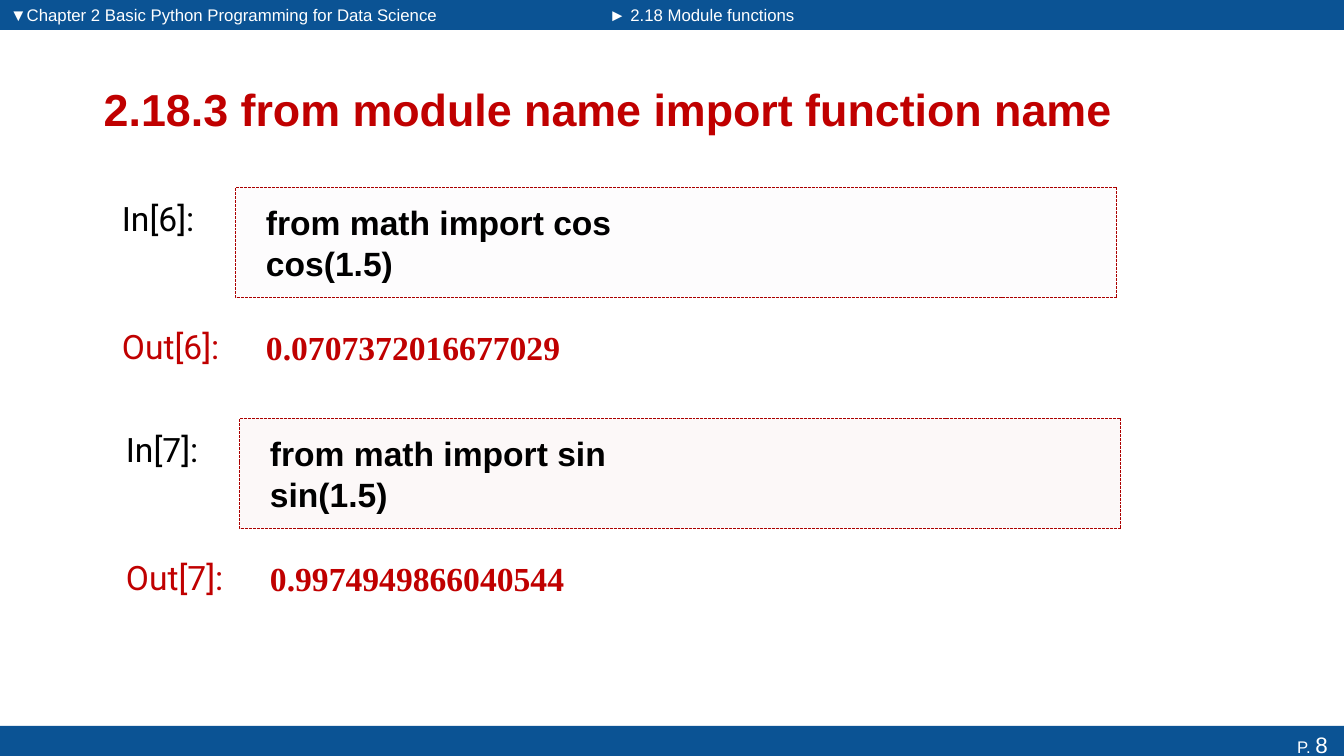
from dataclasses import dataclass

from lxml import etree
from pptx import Presentation
from pptx import util as u
from pptx.dml.color import RGBColor
from pptx.enum import dml, shapes, text
from pptx.oxml import ns

PX = 914400 / 100.8


def px(count):
    return u.Emu(round(count * PX))


@dataclass(frozen=True)
class Theme:
    bar: str = "0B5394"
    light: str = "FFFFFF"
    ink: str = "000000"
    accent: str = "C00000"
    border: str = "AB0000"
    small: int = 12
    number: int = 16
    normal: int = 24
    large: int = 32
    sans: str = "Arial"
    label: str = "Roboto"
    serif: str = "Times New Roman"


class SlideBuilder:
    def __init__(self, deck, theme):
        self.theme = theme
        self.page = deck.slides.add_slide(deck.slide_layouts[3])

    def style(self, font, size, color, name=None, bold=False):
        font.size = u.Pt(size)
        font.color.rgb = RGBColor.from_string(color)
        font.name = name or self.theme.sans
        font.bold = bold

    def set_text(self, box, lines, size, color, name=None, bold=False):
        frame = box.text_frame
        frame.word_wrap = True
        frame.auto_size = text.MSO_AUTO_SIZE.NONE
        frame.text = "\n".join(lines)
        for para in frame.paragraphs:
            self.style(para.font, size, color, name, bold)
        return frame

    def place(self, index, left, top, width, height):
        box = self.page.placeholders[index]
        box.left, box.top, box.width, box.height = map(px, (left, top, width, height))
        return box

    def title(self, words, *area):
        frame = self.set_text(self.place(0, *area), [words], self.theme.large,
                              self.theme.accent, bold=True)
        frame.vertical_anchor = text.MSO_ANCHOR.MIDDLE
        frame.paragraphs[0].alignment = text.PP_ALIGN.CENTER

    def crumb(self, index, words, *area):
        frame = self.set_text(self.place(index, *area), [words], self.theme.small,
                              self.theme.light)
        para = frame.paragraphs[0]
        props = para._p.get_or_add_pPr()
        props.set("marL", str(px(38)))
        props.set("indent", str(-px(38)))
        props.insert(0, etree.Element(ns.qn("a:buNone")))

    def bar(self, *area):
        box = self.page.shapes.add_shape(shapes.MSO_SHAPE.RECTANGLE, *map(px, area))
        box.shadow.inherit = False
        box.fill.solid()
        box.fill.fore_color.rgb = RGBColor.from_string(self.theme.bar)
        box.line.fill.background()
        box.element.getparent().insert(2, box.element)
        return box

    def footer(self, number, *area):
        frame = self.bar(*area).text_frame
        frame.vertical_anchor = text.MSO_ANCHOR.TOP
        para = frame.paragraphs[0]
        para.alignment = text.PP_ALIGN.RIGHT
        for words, size in (("P. ", self.theme.small), (f"{number} ", self.theme.number)):
            span = para.add_run()
            span.text = words
            self.style(span.font, size, self.theme.light)

    def label(self, group, words, color, *area):
        box = group.shapes.add_textbox(*map(px, area))
        self.set_text(box, [words], self.theme.normal, color, self.theme.label)

    def inset(self, frame):
        frame.margin_left = px(30)
        frame.vertical_anchor = text.MSO_ANCHOR.MIDDLE

    def code(self, group, lines, tint, *area):
        box = group.shapes.add_shape(shapes.MSO_SHAPE.RECTANGLE, *map(px, area))
        box.shadow.inherit = False
        box.fill.solid()
        box.fill.fore_color.rgb = RGBColor.from_string(tint)
        color = box.element.spPr.find(ns.qn("a:solidFill"))[0]
        etree.SubElement(color, ns.qn("a:alpha"), val="13000")
        box.line.color.rgb = RGBColor.from_string(self.theme.border)
        box.line.width = u.Pt(0.7)
        box.line.dash_style = dml.MSO_LINE.SQUARE_DOT
        frame = self.set_text(box, lines, self.theme.normal, self.theme.ink, bold=True)
        self.inset(frame)
        for para in frame.paragraphs:
            para.alignment = text.PP_ALIGN.LEFT

    def result(self, group, words, *area):
        box = group.shapes.add_textbox(*map(px, area))
        self.inset(self.set_text(box, [words], self.theme.normal, self.theme.accent,
                                 self.theme.serif, True))

    def cell(self, number, lines, answer, tint, left, top):
        group = self.page.shapes.add_group_shape()
        self.label(group, f"In[{number}]:", self.theme.ink, left, top + 6, 112, 50)
        self.code(group, lines, tint, left + 124, top, 881, 111)
        self.label(group, f"Out[{number}]:", self.theme.accent, left, top + 134, 136, 50)
        self.result(group, answer, left + 124, top + 128, 881, 65)


def main():
    deck = Presentation()
    deck.slide_width, deck.slide_height = px(1344), px(756)
    slide = SlideBuilder(deck, Theme())
    slide.bar(0, 0, 598, 30)
    slide.bar(598, 0, 746, 30)
    slide.footer(8, 0, 726, 1344, 37)
    slide.title("2.18.3 from module name import function name", 68, 63, 1081, 91)
    slide.crumb(1, "▼Chapter 2 Basic Python Programming for Data Science", 0, 0, 487, 29)
    slide.crumb(2, "► 2.18 Module functions", 599, 0, 240, 29)
    slide.cell(6, ["from math import cos", "cos(1.5)"], "0.0707372016677029",
               "F1EEF4", 112, 187)
    slide.cell(7, ["from math import sin", "sin(1.5)"], "0.9974949866040544",
               "EDCDCB", 116, 418)
    deck.save("out.pptx")


if __name__ == "__main__":
    main()
